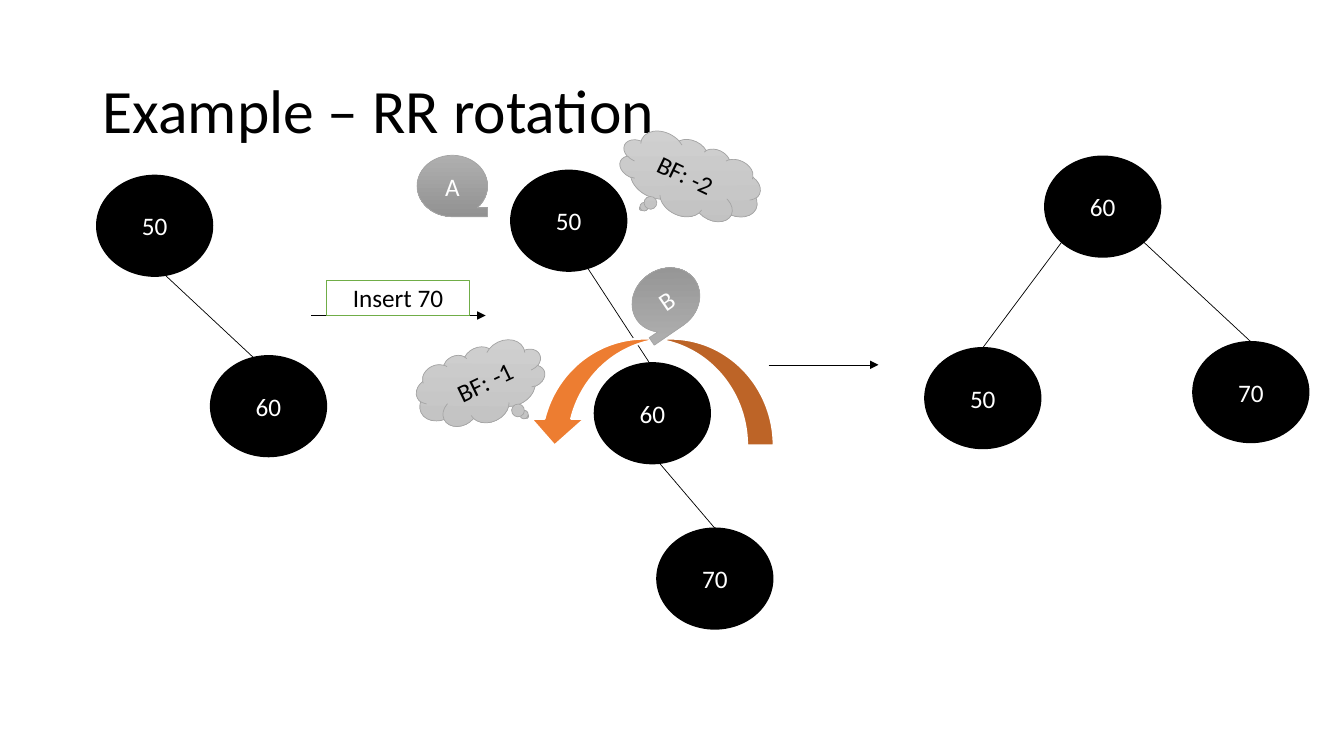
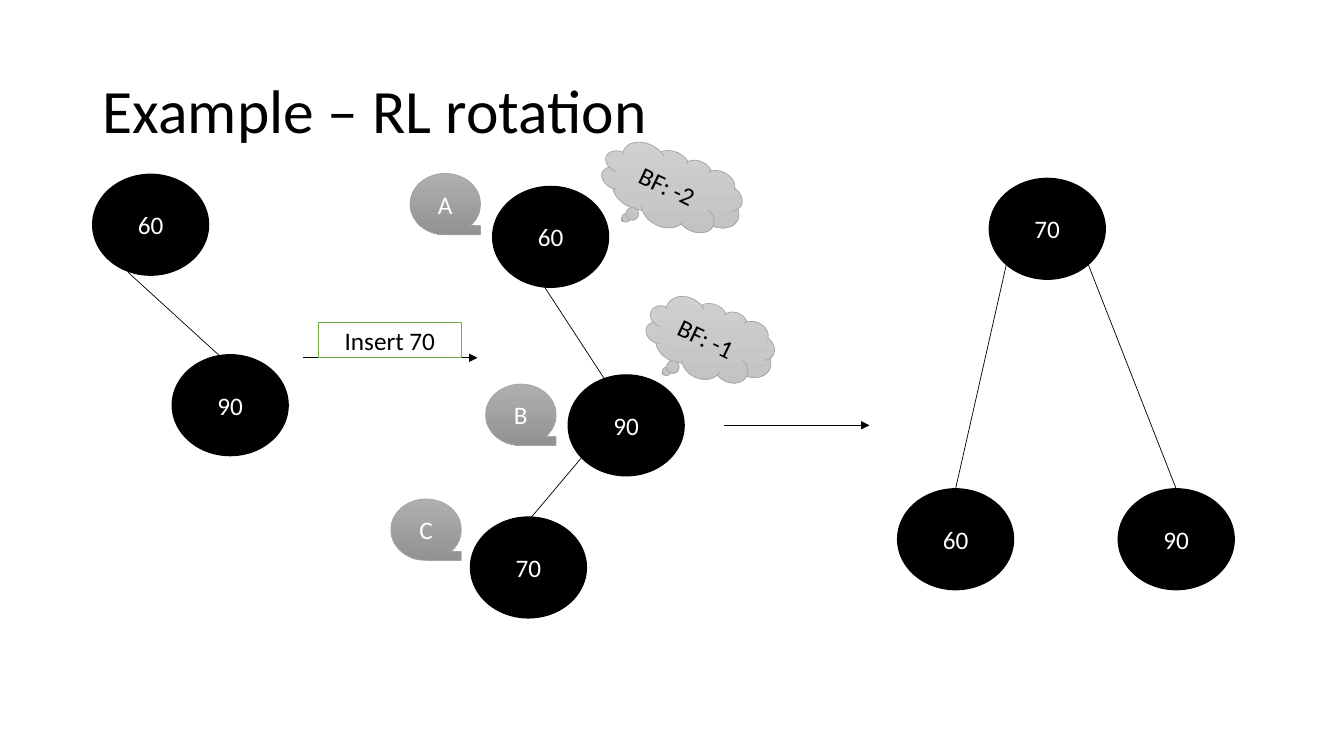
"""Build two slides that show AVL tree rotations."""
import lxml.etree
import pptx
import pptx.dml.color
import pptx.enum.shapes
import pptx.enum.text
import pptx.oxml.ns
import pptx.util

Inches = pptx.util.Inches
Pt = pptx.util.Pt
RGBColor = pptx.dml.color.RGBColor
SHAPE = pptx.enum.shapes.MSO_SHAPE
qn = pptx.oxml.ns.qn

BLACK = RGBColor(0x00, 0x00, 0x00)
WHITE = RGBColor(0xFF, 0xFF, 0xFF)
GREEN = RGBColor(0x70, 0xAD, 0x47)
ORANGE = RGBColor(0xED, 0x7D, 0x31)
GRAY = RGBColor(0xA5, 0xA5, 0xA5)
CLOUD_COLORS = (RGBColor(0xD2, 0xD2, 0xD2), RGBColor(0xC0, 0xC0, 0xC0))
TAG_COLORS = (RGBColor(0xAF, 0xAF, 0xAF), RGBColor(0x92, 0x92, 0x92))
FONT = "Calibri"
NODE_WIDTH, NODE_HEIGHT = 1.15, 1
INSERT_ARROW_LENGTH = 1.73
INSERT_WIDTH, INSERT_HEIGHT = 1.42, 0.35

# nodes: left, top, text; edges: start and end; top_edges: start and child node number
# clouds: left, top, width, text, rotation, flip; tags: left, top, text, rotation, flip, angle
""" """
SLIDES = [
    {
        "title": "Example – RR rotation",
        "nodes": [
            (0.96, 1.74, "50"), (2.09, 3.53, "60"),
            (5.07, 1.69, "50"), (5.9, 3.6, "60"), (6.52, 5.24, "70"),
            (9.18, 3.45, "50"), (11.84, 3.39, "70"), (10.37, 1.55, "60"),
        ],
        "edges": [(1.64, 2.73, 2.54, 3.57), (5.84, 2.67, 6.44, 3.59)],
        "top_edges": [(6.55, 4.6, 4), (10.54, 2.4, 5), (11.35, 2.4, 6)],
        "insert": (3.09, 3.13),
        "result_arrow": (7.63, 8.72, 3.62),
        "clouds": [
            (6.12, 1.39, 1.45, "BF: -2", 25.6, None),
            (4.12, 3.44, 1.31, "BF: -1", 334.4, "flipH"),
        ],
        "turns": [(5.24, 3.36, 2.44, 1.06)],
        "tags": [
            (4.14, 1.54, "A", 0, None, 90),
            (6.26, 2.67, "B", 145.5, "flipV", 236),
        ],
    },
    {
        "title": "Example – RL rotation",
        "nodes": [
            (0.92, 1.73, "60"), (1.71, 3.52, "90"),
            (4.89, 1.85, "60"), (5.64, 3.72, "90"), (4.67, 5.13, "70"),
            (11.1, 4.85, "90"), (8.91, 4.85, "60"), (9.82, 1.77, "70"),
        ],
        "edges": [
            (1.27, 2.7, 2.18, 3.53), (5.4, 2.84, 6, 3.76), (5.79, 4.52, 5.25, 5.16),
        ],
        "top_edges": [(9.99, 2.62, 6), (10.8, 2.62, 5)],
        "insert": (3.01, 3.55),
        "result_arrow": (7.19, 8.63, 4.22),
        "clouds": [
            (5.94, 1.5, 1.45, "BF: -2", 25.6, None),
            (6.39, 3.01, 1.31, "BF: -1", 25.6, None),
        ],
        "turns": [],
        "tags": [
            (4.07, 1.72, "A", 0, None, 90),
            (4.82, 3.81, "B", 0, None, 90),
            (3.88, 4.95, "C", 0, None, 90),
        ],
    },
]


def add_block(page, kind, place, text, colors, line, weight, ink=WHITE, angle=90, turn=0, flip=None):
    box = page.shapes.add_shape(kind, *[Inches(value) for value in place])
    box.shadow.inherit = False
    box.rotation = turn
    if flip:
        box._element.spPr.find(qn("a:xfrm")).set(flip, "1")
    if len(colors) == 1:
        box.fill.solid()
        box.fill.fore_color.rgb = colors[0]
    else:
        box.fill.gradient()
        box.fill.gradient_angle = 360 - angle
        for stop, color in zip(box.fill.gradient_stops, colors):
            stop.color.rgb = color
    box.line.color.rgb = line
    box.line.width = Pt(weight)
    if text:
        para = box.text_frame.paragraphs[0]
        para.alignment = pptx.enum.text.PP_ALIGN.CENTER
        span = para.add_run()
        span.text = text
        span.font.name = FONT
        span.font.size = Pt(18)
        span.font.color.rgb = ink
    return box


def add_line(page, left, top, right, bottom, arrow=False):
    line = page.shapes.add_connector(
        pptx.enum.shapes.MSO_CONNECTOR.STRAIGHT,
        Inches(left), Inches(top), Inches(right), Inches(bottom))
    line.line.color.rgb = BLACK
    line.line.width = Pt(0.5)
    properties = line._element.spPr
    lxml.etree.SubElement(properties, qn("a:effectLst"))
    if arrow:
        lxml.etree.SubElement(properties.find(qn("a:ln")), qn("a:tailEnd"), type="triangle")
    return line


deck = pptx.Presentation()
deck.slide_width = Inches(13.34)
deck.slide_height = Inches(7.5)

for content in SLIDES:
    page = deck.slides.add_slide(deck.slide_layouts[5])
    title = page.shapes.title
    title.left, title.top = Inches(0.92), Inches(0.4)
    title.width, title.height = Inches(11.5), Inches(1.45)
    title.text_frame.vertical_anchor = pptx.enum.text.MSO_ANCHOR.MIDDLE
    para = title.text_frame.paragraphs[0]
    para.alignment = pptx.enum.text.PP_ALIGN.LEFT
    para.line_spacing = 0.9
    span = para.add_run()
    span.text = content["title"]
    span.font.name = FONT
    span.font.size = Pt(44)
    span.font.color.rgb = BLACK

    nodes = []
    for left, top, text in content["nodes"]:
        place = (left, top, NODE_WIDTH, NODE_HEIGHT)
        nodes.append(add_block(page, SHAPE.OVAL, place, text, [BLACK], BLACK, 1))

    for edge in content["edges"]:
        add_line(page, *edge)
    for left, top, child in content["top_edges"]:
        add_line(page, left, top, left, top).end_connect(nodes[child], 0)

    left, top = content["insert"]
    add_line(page, left, top, left + INSERT_ARROW_LENGTH, top, arrow=True)
    place = (left + 0.15, top - INSERT_HEIGHT, INSERT_WIDTH, INSERT_HEIGHT)
    add_block(page, SHAPE.RECTANGLE, place, "Insert 70", [WHITE], GREEN, 1, ink=BLACK)

    left, right, top = content["result_arrow"]
    add_line(page, left, top, right, top, arrow=True)

    for left, top, width, text, turn, flip in content["clouds"]:
        add_block(page, SHAPE.CLOUD_CALLOUT, (left, top, width, 0.76), text, CLOUD_COLORS,
                  GRAY, 0.5, ink=BLACK, angle=64, turn=turn, flip=flip)

    for place in content["turns"]:
        add_block(page, SHAPE.CURVED_DOWN_ARROW, place, "", [ORANGE], WHITE, 1.5, flip="flipH")

    for left, top, text, turn, flip, angle in content["tags"]:
        add_block(page, SHAPE.FLOWCHART_SEQUENTIAL_ACCESS_STORAGE, (left, top, 0.7, 0.61), text,
                  TAG_COLORS, GRAY, 0.5, angle=angle, turn=turn, flip=flip)

deck.save("out.pptx")
